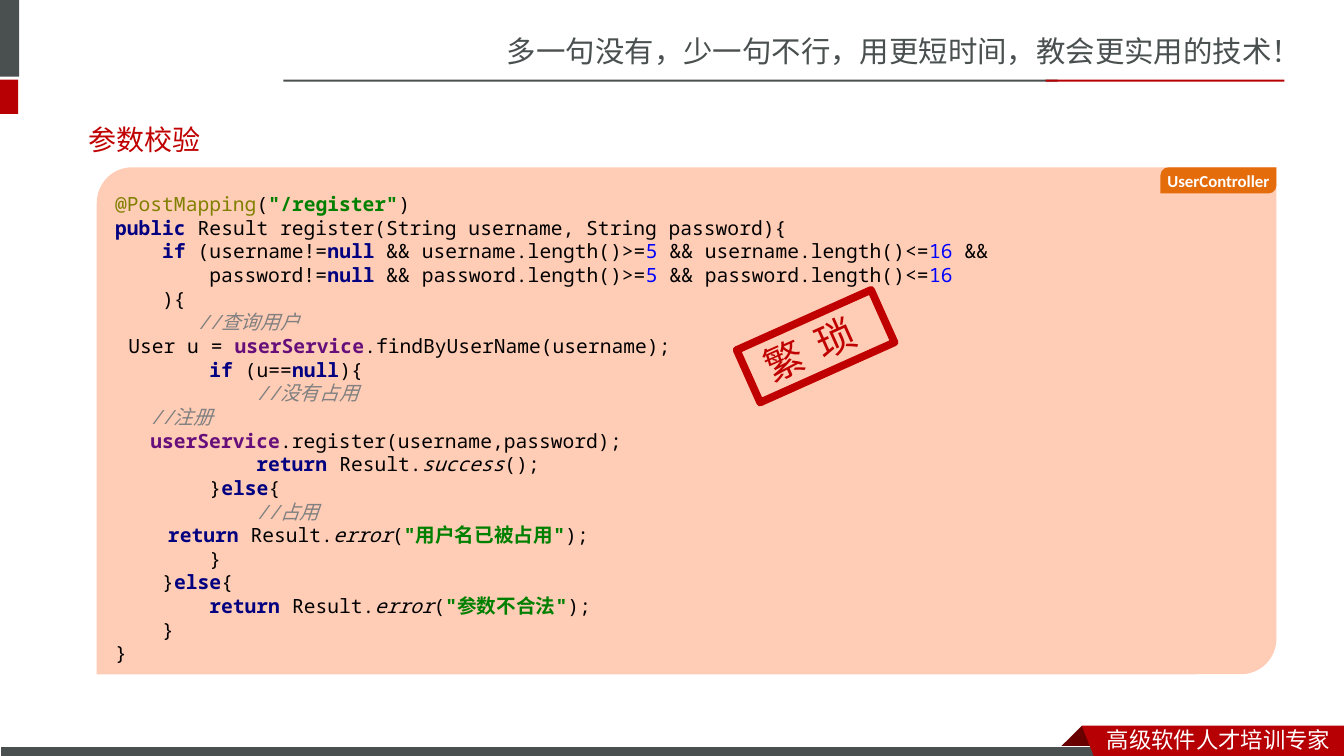
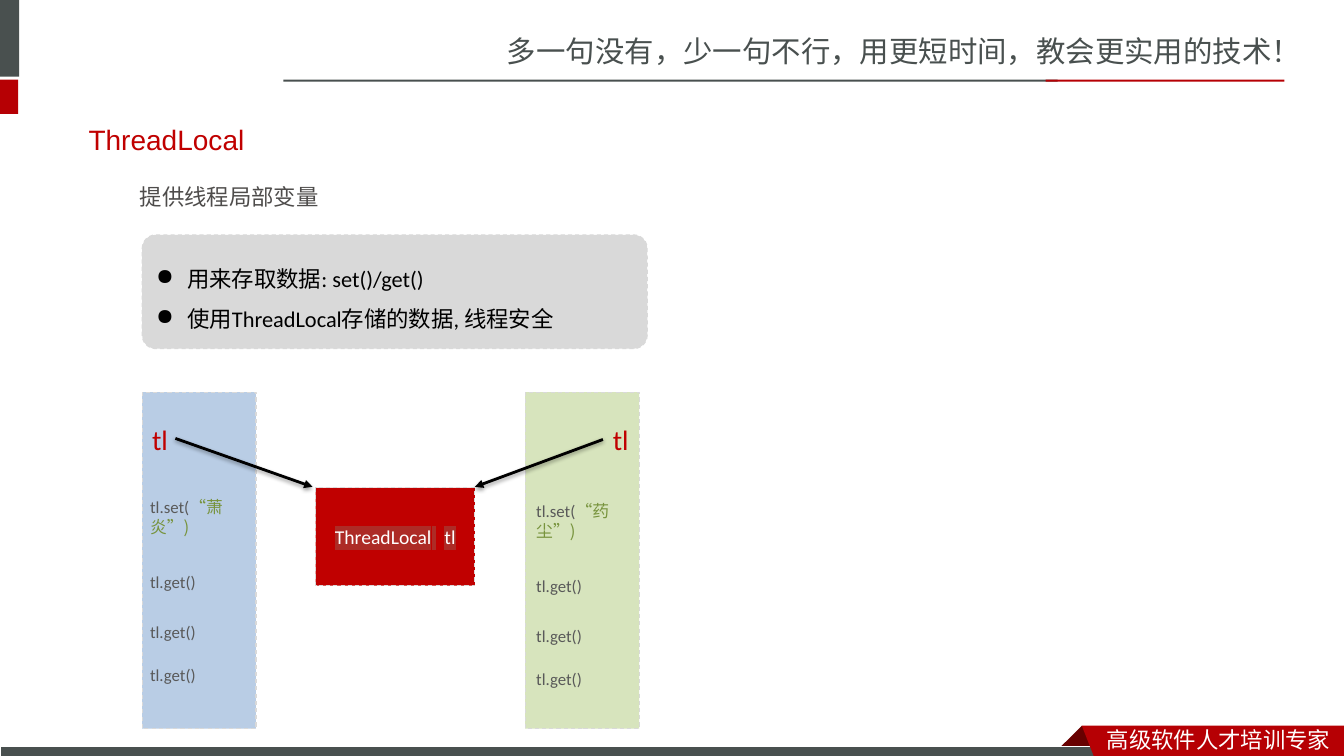
"""Build two Java lesson slides: parameter checking and ThreadLocal."""
import pptx
import pptx.dml.color
import pptx.enum.dml
import pptx.enum.shapes
import pptx.enum.text
import pptx.oxml
import pptx.oxml.ns
import pptx.util
from lxml import etree

Inches, Pt = pptx.util.Inches, pptx.util.Pt
SHAPE = pptx.enum.shapes.MSO_SHAPE
ALIGN = pptx.enum.text.PP_ALIGN
ANCHOR = pptx.enum.text.MSO_ANCHOR
qn = pptx.oxml.ns.qn

COLORS = {
    "slate": "49504F", "red": "B60004", "dark_red": "680000", "title": "C00000",
    "white": "FFFFFF", "black": "000000", "code_panel": "FFCCB6", "tag": "E46C0A",
    "panel": "D9D9D9", "blue_thread": "B9CDE5", "green_thread": "D7E4BD",
    "subtitle": "4E4C4B", "call": "595959", "argument": "77933C", "highlight": "AD2B26",
    "annotation": "808000", "string": "008000", "keyword": "000080",
    "number": "0000FF", "comment": "808080", "field": "660E7A",
}
CJK, MONO = "Noto Sans CJK SC", "Noto Sans Mono"

SLOGAN = "多一句没有，少一句不行，用更短时间，教会更实用的技术！"
FOOTER = "高级软件人才培训专家"
BANDS = [
    ((0, 0, 0.19, 0.76), "slate"),
    ((0, 0.79, 0.18, 0.34), "red"),
    ((2.81, 0.79, 7.68, 0.02), "slate"),
    ((10.37, 0.79, 2.37, 0.02), "red"),
]
FOOTER_FOLD = [(10.73, 7.2), (10.95, 7.42), (10.94, 7.43), (10.52, 7.43), (10.51, 7.42)]
FOOTER_RIBBON = [(10.73, 7.2), (13.33, 7.2), (13.33, 7.54), (10.86, 7.53)]

PLAIN = {}
ANNOTATION = {"color": "annotation"}
KEYWORD = {"color": "keyword", "bold": True}
NUMBER = {"color": "number"}
STRING = {"color": "string", "bold": True}
STRING_CJK = {**STRING, "font": CJK}
FIELD = {"color": "field", "bold": True}
METHOD = {"italic": True}
COMMENT = {"color": "comment", "italic": True}
COMMENT_CJK = {**COMMENT, "font": CJK}

CODE = [
    [("@PostMapping", ANNOTATION), ("(", PLAIN), ('"/register"', STRING), (")", PLAIN)],
    [("public ", KEYWORD), ("Result register(String username, String password){", PLAIN)],
    [("    if ", KEYWORD), ("(username!=", PLAIN), ("null ", KEYWORD),
     ("&& username.length()>=", PLAIN), ("5 ", NUMBER),
     ("&& username.length()<=", PLAIN), ("16 ", NUMBER), ("&&", PLAIN)],
    [("        password!=", PLAIN), ("null ", KEYWORD), ("&& password.length()>=", PLAIN),
     ("5 ", NUMBER), ("&& password.length()<=", PLAIN), ("16", NUMBER)],
    [("    ){", PLAIN)],
    [("       //", COMMENT), ("查询用户", COMMENT_CJK)],
    [("   ", COMMENT_CJK), ("User u = ", PLAIN), ("userService", FIELD),
     (".findByUserName(username);", PLAIN)],
    [("        if ", KEYWORD), ("(u==", PLAIN), ("null", KEYWORD), ("){", PLAIN)],
    [("            //", COMMENT), ("没有占用", COMMENT_CJK)],
    [("        ", COMMENT_CJK), ("//", COMMENT), ("注册", COMMENT_CJK)],
    [("        ", COMMENT_CJK), ("userService", FIELD),
     (".register(username,password);", PLAIN)],
    [("            return ", KEYWORD), ("Result.", PLAIN), ("success", METHOD), ("();", PLAIN)],
    [("        }", PLAIN), ("else", KEYWORD), ("{", PLAIN)],
    [("            //", COMMENT), ("占用", COMMENT_CJK)],
    [("            ", COMMENT_CJK), ("return ", KEYWORD), ("Result.", PLAIN),
     ("error", METHOD), ("(", PLAIN), ('"', STRING), ("用户名已被占用", STRING_CJK),
     ('"', STRING), (");", PLAIN)],
    [("        }", PLAIN)],
    [("    }", PLAIN), ("else", KEYWORD), ("{", PLAIN)],
    [("        return ", KEYWORD), ("Result.", PLAIN), ("error", METHOD), ("(", PLAIN),
     ('"', STRING), ("参数不合法", STRING_CJK), ('"', STRING), (");", PLAIN)],
    [("    }", PLAIN)],
    [("}", PLAIN)],
]

FEATURES = ["用来存取数据: set()/get()", "使用ThreadLocal存储的数据, 线程安全"]
THREADS = [
    {"left": 1.41, "label_left": 1.41, "call_left": 1.39, "call_top": 4.88,
     "fill": "blue_thread", "value": "“萧炎”)", "arrow": (1.74, 4.35, 3.1, 4.83)},
    {"left": 5.21, "label_left": 5.98, "call_left": 5.22, "call_top": 4.92,
     "fill": "green_thread", "value": "“药尘”)", "arrow": (5.98, 4.36, 4.71, 4.83)},
]
GET_OFFSETS = [0.74, 1.24, 1.67]


def rgb(name):
    return pptx.dml.color.RGBColor.from_string(COLORS[name])


def add_run(paragraph, text, *, size, color, font, bold=False, italic=False,
            spacing=0, highlight=None):
    run = paragraph.add_run()
    run.text = text
    run.font.size, run.font.bold, run.font.italic = Pt(size), bold, italic
    run.font.color.rgb = rgb(color)
    run.font.name = font
    properties = run.font._element
    east_asian = etree.Element(qn("a:ea"), typeface=CJK if font in ("Calibri", "Arial", MONO) else font)
    properties.find(qn("a:latin")).addnext(east_asian)
    if spacing:
        properties.set("spc", str(spacing * 100))
    if highlight:
        mark = etree.Element(qn("a:highlight"))
        etree.SubElement(mark, qn("a:srgbClr"), val=COLORS[highlight])
        properties.find(qn("a:solidFill")).addnext(mark)


def write(shape, paragraphs, *, align=ALIGN.LEFT, anchor=ANCHOR.TOP, wrap=True,
          insets=(0.1, 0.05, 0.1, 0.05), line_spacing=None, bullet=None, **run_format):
    frame = shape.text_frame
    frame.word_wrap, frame.vertical_anchor = wrap, anchor
    (frame.margin_left, frame.margin_top,
     frame.margin_right, frame.margin_bottom) = map(Inches, insets)
    for index, runs in enumerate(paragraphs):
        paragraph = frame.paragraphs[0] if index == 0 else frame.add_paragraph()
        paragraph.alignment = align
        if line_spacing:
            paragraph.line_spacing = line_spacing
        if bullet:
            properties = paragraph._p.get_or_add_pPr()
            properties.set("marL", str(Inches(0.31)))
            properties.set("indent", str(-Inches(0.31)))
            etree.SubElement(properties, qn("a:buChar"), char=bullet)
        for text, override in [(runs, {})] if isinstance(runs, str) else runs:
            add_run(paragraph, text, **{**run_format, **override})


def add_text(slide, box, paragraphs, **text_format):
    shape = slide.shapes.add_textbox(*map(Inches, box))
    write(shape, paragraphs, **{"font": "Calibri", **text_format})


def paint(shape, fill=None, line=None, width=0.75, dashed=False):
    shape.shadow.inherit = False
    if fill:
        shape.fill.solid()
        shape.fill.fore_color.rgb = rgb(fill)
    else:
        shape.fill.background()
    if line:
        shape.line.color.rgb, shape.line.width = rgb(line), Pt(width)
        if dashed:
            shape.line.dash_style = pptx.enum.dml.MSO_LINE.DASH
    else:
        shape.line.fill.background()


def add_box(slide, box, kind=SHAPE.RECTANGLE, adjust=None, **paint_format):
    shape = slide.shapes.add_shape(kind, *map(Inches, box))
    if adjust is not None:
        shape.adjustments[0] = adjust
    paint(shape, **paint_format)
    return shape


def add_outline(slide, points, fill):
    corners = [(Inches(x), Inches(y)) for x, y in points]
    builder = slide.shapes.build_freeform(*corners[0], scale=1.0)
    builder.add_line_segments(corners[1:], close=True)
    paint(builder.convert_to_shape(), fill)


def add_arrow(slide, ends):
    arrow = slide.shapes.add_connector(pptx.enum.shapes.MSO_CONNECTOR.STRAIGHT, *map(Inches, ends))
    arrow.line.color.rgb, arrow.line.width = rgb("black"), Pt(2)
    etree.SubElement(arrow.line._get_or_add_ln(), qn("a:tailEnd"), type="triangle")
    effects = etree.SubElement(arrow._element.spPr, qn("a:effectLst"))
    shadow = etree.SubElement(effects, qn("a:outerShdw"), blurRad=str(Pt(3.1)),
                              dist=str(Pt(1.6)), dir="5400000", rotWithShape="0")
    color = etree.SubElement(shadow, qn("a:srgbClr"), val=COLORS["black"])
    etree.SubElement(color, qn("a:alpha"), val="38000")


def add_slide(presentation, title):
    slide = presentation.slides.add_slide(presentation.slide_layouts[6])
    add_text(slide, (4.93, 0.28, 8.41, 0.47), [SLOGAN], size=21, color="slate",
             font=CJK, wrap=False)
    for box, fill in BANDS:
        add_box(slide, box, fill=fill)
    add_outline(slide, FOOTER_FOLD, "dark_red")
    add_box(slide, (0, 7.41, 10.99, 0.12), fill="slate", line="white")
    add_outline(slide, FOOTER_RIBBON, "red")
    add_text(slide, (10.88, 7.15, 2.45, 0.37), [FOOTER], size=16, color="white",
             font=CJK, wrap=False)
    add_text(slide, (0.78, 1.1, 11.7, 0.57), [title], size=20, color="title",
             font="Arial", anchor=ANCHOR.MIDDLE)
    return slide


def build_validation(presentation):
    slide = add_slide(presentation, "参数校验")
    panel = add_box(slide, (0.96, 1.66, 11.7, 5.03), SHAPE.ROUND_2_DIAG_RECTANGLE, 0.07,
                    fill="code_panel")
    write(panel, CODE, size=14, color="black", font=MONO, anchor=ANCHOR.MIDDLE,
          insets=(0.08, 0.15, 0, 0), line_spacing=Pt(16.9))
    tag = add_box(slide, (11.51, 1.66, 1.15, 0.26), SHAPE.ROUND_2_DIAG_RECTANGLE, 0.3, fill="tag")
    write(tag, ["UserController"], size=12, color="white", font="Calibri", bold=True,
          align=ALIGN.CENTER, anchor=ANCHOR.MIDDLE, insets=(0, 0, 0, 0))
    stamp = add_box(slide, (7.36, 3.15, 1.46, 0.57), line="title", width=5.5)
    stamp.rotation = 335.9
    write(stamp, [[("繁", {"spacing": 12}), ("琐", {})]], size=28, color="title",
          font="Noto Sans CJK JP", insets=(0.19, 0.05, 0.1, 0.05), wrap=False)


def build_thread_local(presentation):
    slide = add_slide(presentation, "ThreadLocal")
    border = {"line": "panel", "dashed": True}
    add_text(slide, (1.29, 1.77, 2, 0.37), ["提供线程局部变量"], size=16, color="subtitle",
             font="Noto Sans CJK JP", wrap=False)
    features = add_box(slide, (1.41, 2.33, 5.01, 1.13), SHAPE.ROUNDED_RECTANGLE, 0.12,
                       fill="panel", **border)
    write(features, FEATURES, size=16, color="black", font="Calibri", anchor=ANCHOR.MIDDLE,
          line_spacing=1.5, bullet="●")
    variable = add_box(slide, (3.13, 4.84, 1.58, 0.97), fill="title", **border)
    write(variable, [[("ThreadLocal", {}), (" ", {"spacing": 6}), ("tl", {})]], size=14,
          color="white", font="Calibri", highlight="highlight", align=ALIGN.CENTER,
          anchor=ANCHOR.MIDDLE)
    for thread in THREADS:
        add_box(slide, (thread["left"], 3.89, 1.13, 3.34), fill=thread["fill"], **border)
        add_text(slide, (thread["label_left"], 4.14, 0.36, 0.44), ["tl"], size=20,
                 color="title", wrap=False)
        add_arrow(slide, thread["arrow"])
        left, top = thread["call_left"], thread["call_top"]
        setter = [("tl.set(", {}), (thread["value"], {"color": "argument", "font": CJK})]
        add_text(slide, (left, top, 1.12, 0.3), [setter], size=12, color="call")
        for offset in GET_OFFSETS:
            add_text(slide, (left, top + offset, 0.66, 0.3), ["tl.get()"], size=12,
                     color="call", wrap=False)


def main():
    presentation = pptx.Presentation()
    presentation.slide_width, presentation.slide_height = Inches(13.33), Inches(7.5)
    build_validation(presentation)
    build_thread_local(presentation)
    presentation.save("out.pptx")


if __name__ == "__main__":
    main()
